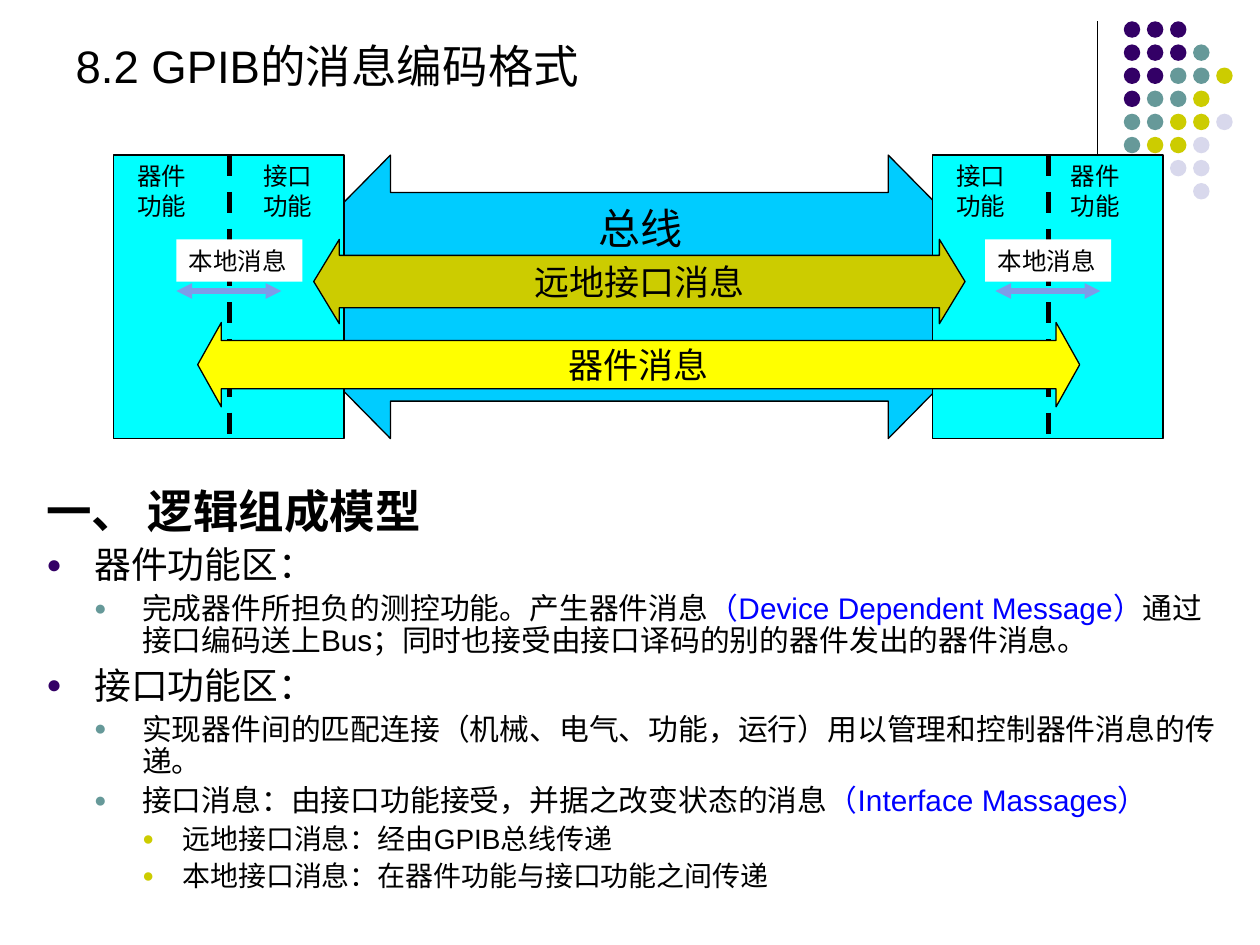
from lxml import etree
from pptx import Presentation
from pptx import util as u
from pptx.dml.color import RGBColor
from pptx.enum import dml, shapes, text
from pptx.oxml.ns import qn

Pt = u.Pt


class Theme:
    latin, label, asian = "Arial", "Lato", "Noto Sans CJK SC"
    black, white, blue = "000000", "FFFFFF", "0000FF"
    purple, teal, olive, lilac = "330066", "669999", "CCCC00", "D8D8EC"
    cyan, sky, yellow, periwinkle = "00FFFF", "00CCFF", "FFFF00", "7E9CE8"
    heading_size, bus_size, arrow_size, label_size = 26, 24, 20, 14
    thin, thick = 0.75, 3


TITLE = "8.2 GPIB的消息编码格式"
HEADING = "一、 逻辑组成模型"

# (level, runs); a run is (text, colour)
OUTLINE = [
    (0, [("器件功能区：", Theme.black)]),
    (1, [("完成器件所担负的测控功能。产生器件消息", Theme.black),
         ("（Device Dependent Message）", Theme.blue),
         ("通过接口编码送上Bus；同时也接受由接口译码的别的器件发出的器件消息。", Theme.black)]),
    (0, [("接口功能区：", Theme.black)]),
    (1, [("实现器件间的匹配连接（机械、电气、功能，运行）用以管理和控制器件消息的传递。", Theme.black)]),
    (1, [("接口消息：由接口功能接受，并据之改变状态的消息", Theme.black),
         ("（Interface Massages）", Theme.blue)]),
    (2, [("远地接口消息：经由GPIB总线传递", Theme.black)]),
    (2, [("本地接口消息：在器件功能与接口功能之间传递", Theme.black)]),
]
# level: (size, space before, left margin, hanging indent, bullet colour)
LEVELS = {
    0: (21, 5.2, 27.4, 27.4, Theme.purple),
    1: (17, 4.2, 54.7, 27.4, Theme.teal),
    2: (16, 4, 77.8, 23, Theme.olive),
}

DOTS = ["PPP", "PPPT", "PPTTY", "PTTY", "TTYYL", "TYYL", "..LL", "...L"]
DOT_COLOURS = {"P": Theme.purple, "T": Theme.teal, "Y": Theme.olive, "L": Theme.lilac}
DOT_LEFT, DOT_TOP, DOT_PITCH, DOT_SIZE = 642.2, 12.2, 13.2, 9.4

TOP, HEIGHT = 88.6, 162
DEVICE_WIDTH = 131.8
LABEL_WIDTH, LABEL_HEIGHT = 54, 41
# device left, divider x, (label, left) pairs, local box left, local arrow left
DEVICES = [
    (64.8, 131, [("器件功能", 71.3), ("接口功能", 143.3)], 100.8, 100.8),
    (532.8, 599, [("接口功能", 539.3), ("器件功能", 604.8)], 563, 568.8),
]
# text, left, top, width, height, adjustments, fill
BUS_ARROW = ("", 143.3, TOP, 444.2, HEIGHT, (0.736, 0.493), Theme.sky)
MESSAGE_ARROWS = [
    ("器件消息", 113, 184.3, 504, 48.2, (0.573, 0.28), Theme.yellow),
    ("远地接口消息", 179.3, 136.8, 372.2, 48.2, (0.62, 0.304), Theme.olive),
]


def rgb(value):
    return RGBColor.from_string(value)


def add_run(paragraph, content, *, size, font=Theme.latin, colour=Theme.black, bold=False):
    run = paragraph.add_run()
    run.text = content
    run.font.size, run.font.name, run.font.bold = Pt(size), font, bold
    run.font.color.rgb = rgb(colour)
    asian = etree.SubElement(run._r.get_or_add_rPr(), qn("a:ea"))
    asian.set("typeface", Theme.asian)


def write(shape, content, *, align=text.PP_ALIGN.LEFT, anchor=text.MSO_ANCHOR.TOP,
          wrap=True, **run_format):
    frame = shape.text_frame
    frame.word_wrap, frame.vertical_anchor = wrap, anchor
    frame.auto_size = text.MSO_AUTO_SIZE.NONE
    paragraph = frame.paragraphs[0]
    paragraph.alignment = align
    add_run(paragraph, content, **run_format)
    return paragraph


def add_box(slide, kind, left, top, width, height, fill, outlined=True):
    shape = slide.shapes.add_shape(kind, Pt(left), Pt(top), Pt(width), Pt(height))
    shape.shadow.inherit = False
    shape.fill.solid()
    shape.fill.fore_color.rgb = rgb(fill)
    if outlined:
        shape.line.color.rgb = rgb(Theme.black)
        shape.line.width = Pt(Theme.thin)
    else:
        shape.line.fill.background()
    return shape


def add_line(slide, x1, y1, x2, y2, colour=Theme.black, width=Theme.thin,
             dashed=False, arrows=False):
    line = slide.shapes.add_connector(
        shapes.MSO_CONNECTOR.STRAIGHT, Pt(x1), Pt(y1), Pt(x2), Pt(y2))
    line.line.color.rgb = rgb(colour)
    line.line.width = Pt(width)
    if dashed:
        line.line.dash_style = dml.MSO_LINE.DASH
    if arrows:
        for end in ("a:headEnd", "a:tailEnd"):
            etree.SubElement(line.line._get_or_add_ln(), qn(end)).set("type", "triangle")
    etree.SubElement(line._element.spPr, qn("a:effectLst"))


def add_text(slide, content, left, top, width, height, **text_format):
    box = slide.shapes.add_textbox(Pt(left), Pt(top), Pt(width), Pt(height))
    return box, write(box, content, **text_format)


def indent(paragraph, margin, hanging):
    properties = paragraph._p.get_or_add_pPr()
    properties.set("marL", str(Pt(margin)))
    properties.set("indent", str(-Pt(hanging)))
    return properties


def add_bullet(properties, colour):
    fill = etree.SubElement(properties, qn("a:buClr"))
    etree.SubElement(fill, qn("a:srgbClr")).set("val", colour)
    for tag, name, value in [("a:buSzPct", "val", "70000"),
                             ("a:buFont", "typeface", Theme.latin),
                             ("a:buChar", "char", "●")]:
        etree.SubElement(properties, qn(tag)).set(name, value)


def add_arrow(slide, content, left, top, width, height, adjustments, fill):
    arrow = add_box(slide, shapes.MSO_SHAPE.LEFT_RIGHT_ARROW, left, top, width, height, fill)
    for index, value in enumerate(adjustments):
        arrow.adjustments[index] = value
    if content:
        write(arrow, content, size=Theme.arrow_size, font=Theme.label, wrap=False,
              align=text.PP_ALIGN.CENTER, anchor=text.MSO_ANCHOR.MIDDLE)


def add_dots(slide):
    add_line(slide, 627.1, DOT_TOP, 627.1, 131.8)
    for row, pattern in enumerate(DOTS):
        for column, key in enumerate(pattern):
            if key in DOT_COLOURS:
                add_box(slide, shapes.MSO_SHAPE.OVAL, DOT_LEFT + column * DOT_PITCH,
                        DOT_TOP + row * DOT_PITCH, DOT_SIZE, DOT_SIZE,
                        DOT_COLOURS[key], outlined=False)


def add_outline(slide):
    box, heading = add_text(slide, HEADING, 19.4, 275.8, 683.3, 264.2,
                            size=Theme.heading_size, font=Theme.asian, bold=True)
    indent(heading, *LEVELS[0][2:4])
    heading.line_spacing = 0.9
    for level, runs in OUTLINE:
        size, before, margin, hanging, colour = LEVELS[level]
        paragraph = box.text_frame.add_paragraph()
        paragraph.level = level
        add_bullet(indent(paragraph, margin, hanging), colour)
        paragraph.line_spacing, paragraph.space_before = 0.9, Pt(before)
        for content, run_colour in runs:
            add_run(paragraph, content, size=size, colour=run_colour)


def add_diagram(slide):
    label = {"size": Theme.label_size, "font": Theme.label}
    rectangle = shapes.MSO_SHAPE.RECTANGLE
    add_arrow(slide, *BUS_ARROW)
    for left, divider, *_ in DEVICES:
        add_box(slide, rectangle, left, TOP, DEVICE_WIDTH, HEIGHT, Theme.cyan)
        add_line(slide, divider, TOP, divider, TOP + HEIGHT, width=Theme.thick, dashed=True)
    for arrow in MESSAGE_ARROWS:
        add_arrow(slide, *arrow)
    add_text(slide, "总线", 334.8, 112.3, 90, 36, size=Theme.bus_size, font=Theme.label)
    for _, _, labels, local_left, arrow_left in DEVICES:
        for content, left in labels:
            add_text(slide, content, left, TOP, LABEL_WIDTH, LABEL_HEIGHT, **label)
        add_line(slide, arrow_left, 166.3, arrow_left + 60, 166.3,
                 Theme.periwinkle, Theme.thick, arrows=True)
        local = add_box(slide, rectangle, local_left, 136.8, 72, 24.2, Theme.white, outlined=False)
        write(local, "本地消息", **label)


def main():
    presentation = Presentation()
    presentation.slide_width, presentation.slide_height = Pt(720), Pt(540)
    slide = presentation.slides.add_slide(presentation.slide_layouts[5])
    add_dots(slide)
    title = slide.shapes.title
    title.left, title.top, title.width, title.height = Pt(36), Pt(9.4), Pt(411), Pt(56.2)
    write(title, TITLE, size=Theme.heading_size, anchor=text.MSO_ANCHOR.MIDDLE)
    add_outline(slide)
    add_diagram(slide)
    presentation.save("out.pptx")


if __name__ == "__main__":
    main()
